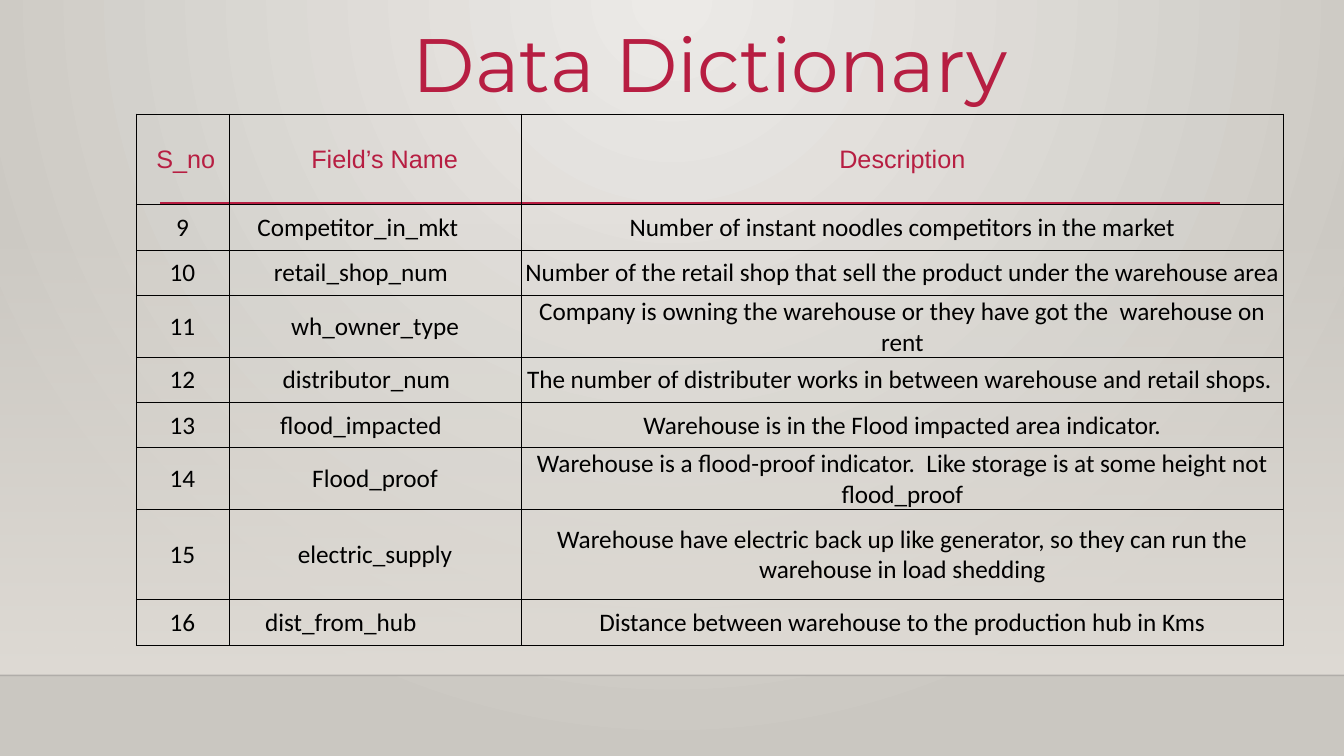
from lxml.etree import SubElement
from pptx import Presentation
from pptx.dml.color import RGBColor
from pptx.enum.shapes import MSO_CONNECTOR, MSO_SHAPE
from pptx.enum.text import MSO_ANCHOR, MSO_AUTO_SIZE, PP_ALIGN
from pptx.oxml.ns import qn
from pptx.util import Inches, Pt

CRIMSON = RGBColor(0xB7, 0x1E, 0x42)
BLACK = RGBColor(0, 0, 0)
NEAR_BLACK = RGBColor(0, 0, 1)
LIGHT_STONE = RGBColor(0xEC, 0xEA, 0xE7)
DARK_STONE = RGBColor(0xCA, 0xC7, 0xC1)
SAND = RGBColor(0xDF, 0xDB, 0xD5)

WIDTH, HEIGHT = 13.33, 7.5
FLOOR_TOP = 6.7

HEADINGS = ["S_no", "Field’s Name", "Description"]
# Number, field name, description, shift of the name's right margin in inches
FIELDS = [
    ("9", "Competitor_in_mkt", "Number of instant noodles competitors in the market", 0.34),
    ("10", "retail_shop_num",
     "Number of the retail shop that sell the product under the warehouse area", 0.28),
    ("11", "wh_owner_type",
     "Company is owning the warehouse or they have got the  warehouse on rent", 0),
    ("12", "distributor_num",
     "The number of distributer works in between warehouse and retail shops. ", 0.17),
    ("13", "flood_impacted", "Warehouse is in the Flood impacted area indicator.", 0.28),
    ("14", "Flood_proof",
     "Warehouse is a flood-proof indicator.  Like storage is at some height not flood_proof", 0),
    ("15", "electric_supply",
     "Warehouse have electric back up like generator, so they can run the "
     "warehouse in load shedding", 0),
    ("16", "dist_from_hub", "Distance between warehouse to the production hub in Kms", 0.68),
]
COLUMN_WIDTHS = [0.92, 2.9, 7.56]
ROW_HEIGHT = 0.45
TALL_ROWS = (0, 7)


def set_alpha(color_element, percent):
    SubElement(color_element, qn("a:alpha"), val=str(percent * 1000))


def set_gradient(fill, first, last):
    fill.gradient()
    for stop, color in zip(fill.gradient_stops, (first, last)):
        stop.color.rgb = color
    fill.gradient_stops[0].position = 0
    fill.gradient_stops[1].position = 1


def add_line(slide, left, right, top, color, width):
    line = slide.shapes.add_connector(
        MSO_CONNECTOR.STRAIGHT, Inches(left), Inches(top), Inches(right), Inches(top))
    line.line.color.rgb = color
    line.line.width = Pt(width)
    SubElement(line.element.spPr, qn("a:effectLst"))
    return line


def add_backdrop(slide):
    # Circular gradient behind everything
    set_gradient(slide.background.fill, LIGHT_STONE, DARK_STONE)
    gradient = slide.element.find(".//" + qn("p:bgPr")).find(qn("a:gradFill"))
    gradient.remove(gradient.find(qn("a:lin")))
    circle = SubElement(gradient, qn("a:path"), {"path": "circle"})
    SubElement(circle, qn("a:fillToRect"), l="43000", t="0", r="43000", b="100000")

    # Wall that fades in towards the floor
    wall = slide.shapes.add_shape(
        MSO_SHAPE.RECTANGLE, 0, Inches(2.21), Inches(WIDTH), Inches(FLOOR_TOP - 2.21))
    wall.shadow.inherit = False
    wall.line.fill.background()
    set_gradient(wall.fill, SAND, SAND)
    wall.fill.gradient_angle = 270
    set_alpha(wall.element.spPr.find(".//" + qn("a:srgbClr")), 0)

    # Floor edge and title rule
    edge = add_line(slide, 0, WIDTH, FLOOR_TOP, NEAR_BLACK, 1)
    set_alpha(edge.element.spPr.find(".//" + qn("a:srgbClr")), 20)
    add_line(slide, 1.59, 12.1, 2.02, CRIMSON, 2.5)


def add_run(paragraph, text, size, font, color):
    run = paragraph.add_run()
    run.text = text
    run.font.size = Pt(size)
    run.font.name = font
    run.font.color.rgb = color


def add_title(slide, left, top, width, height):
    title = slide.shapes.title
    title.left, title.top = Inches(left), Inches(top)
    title.width, title.height = Inches(width), Inches(height)
    frame = title.text_frame
    frame.word_wrap = False
    frame.auto_size = MSO_AUTO_SIZE.SHAPE_TO_FIT_TEXT
    frame.vertical_anchor = MSO_ANCHOR.TOP
    paragraph = frame.paragraphs[0]
    paragraph.alignment = PP_ALIGN.CENTER
    add_run(paragraph, "Data Dictionary", 54, "Montserrat", CRIMSON)


def format_cell(cell, text, font, color, alignment, left=0.01, right=0.01):
    cell.vertical_anchor = MSO_ANCHOR.MIDDLE
    cell.margin_left, cell.margin_right = Inches(left), Inches(right)
    cell.margin_top, cell.margin_bottom = Inches(0.01), 0
    properties = cell._tc.get_or_add_tcPr()
    for side in ("a:lnL", "a:lnR", "a:lnT", "a:lnB"):
        border = SubElement(properties, qn(side), w=str(Pt(0.5)))
        solid = SubElement(border, qn("a:solidFill"))
        SubElement(solid, qn("a:srgbClr"), val=str(BLACK))
    cell.fill.background()
    paragraph = cell.text_frame.paragraphs[0]
    paragraph.alignment = alignment
    add_run(paragraph, text, 18, font, color)


def add_dictionary(slide, left, top):
    row_count = len(FIELDS) + 1
    heights = [ROW_HEIGHT * (2 if row in TALL_ROWS else 1) for row in range(row_count)]
    table = slide.shapes.add_table(
        row_count, len(HEADINGS), Inches(left), Inches(top),
        Inches(sum(COLUMN_WIDTHS)), Inches(sum(heights))).table
    table.first_row = table.horz_banding = False
    for column, width in zip(table.columns, COLUMN_WIDTHS):
        column.width = Inches(width)
    for row, height in zip(table.rows, heights):
        row.height = Inches(height)

    # Heading row
    for index, heading in enumerate(HEADINGS):
        format_cell(table.cell(0, index), heading, "Arial", CRIMSON,
                    PP_ALIGN.CENTER if index else PP_ALIGN.LEFT,
                    left=0.2 if index < 2 else 0.01)

    # Field rows
    for row, (*texts, shift) in enumerate(FIELDS, start=1):
        for index, text in enumerate(texts):
            format_cell(table.cell(row, index), text, "Calibri", BLACK, PP_ALIGN.CENTER,
                        right=0.01 + (shift if index == 1 else 0))


def main():
    presentation = Presentation()
    presentation.slide_width, presentation.slide_height = Inches(WIDTH), Inches(HEIGHT)
    slide = presentation.slides.add_slide(presentation.slide_layouts[5])
    add_backdrop(slide)
    add_dictionary(slide, 1.35, 1.13)
    add_title(slide, 3.71, 0.12, 6.67, 1.01)
    presentation.save("out.pptx")


if __name__ == "__main__":
    main()
